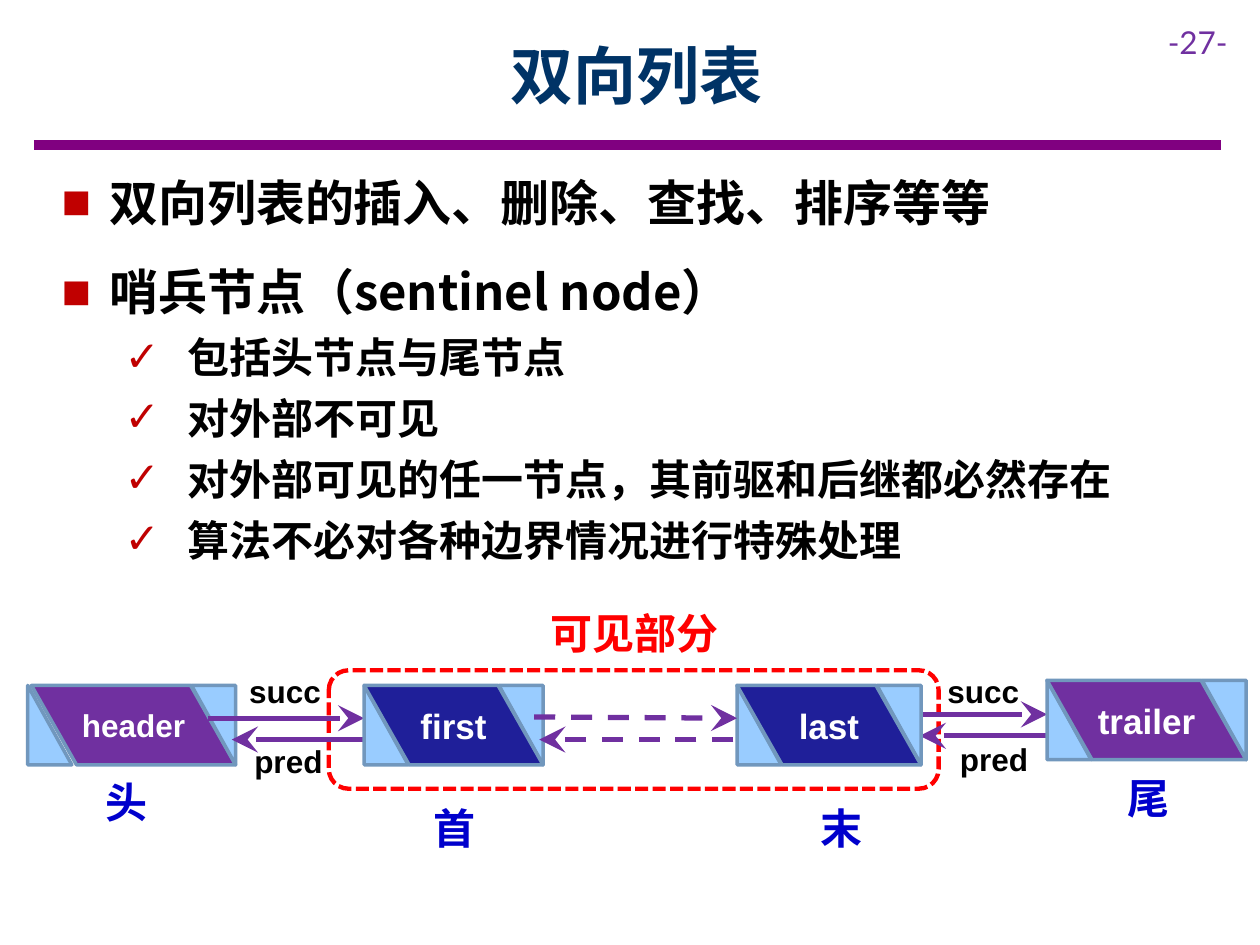
"""Build a slide on doubly linked lists and their sentinel nodes."""
from dataclasses import dataclass

from lxml.etree import SubElement
from pptx import Presentation
from pptx.dml.color import RGBColor
from pptx.enum.dml import MSO_LINE
from pptx.enum.shapes import MSO_CONNECTOR, MSO_SHAPE
from pptx.enum.text import MSO_ANCHOR, PP_ALIGN
from pptx.oxml.ns import qn
from pptx.util import Inches, Pt

COLORS = {
    "title": "003366", "rule": "800080", "purple": "7030A0", "navy": "1F1F99",
    "sky": "99CCFF", "edge": "7197BD", "red": "FF0000", "bullet": "C00000",
    "blue": "0000CC", "black": "000000", "white": "FFFFFF",
}
CJK, LATIN, NUMBER = "Noto Sans CJK SC", "Arial", "Lato"
NODE_H, WEDGE_W = 0.63, 0.35


@dataclass
class Label:
    text: str
    x: float
    y: float
    w: float
    h: float
    size: int
    color: str
    font: str = CJK
    bold: bool = True
    align: PP_ALIGN = PP_ALIGN.LEFT


@dataclass
class Node:
    text: str
    x: float
    y: float
    w: float
    color: str
    size: int = 20
    inset: float = 0
    wedges_on_top: bool = False


@dataclass
class Arrow:
    x1: float
    y1: float
    x2: float
    y2: float
    dashed: bool = False


@dataclass
class Bullet:
    text: str
    mark: str = "✓"
    level: int = 1
    size: int = 24
    margin: float = 1
    hang: float = 0.5


LABELS = [
    Label("-27-", 9.17, 0.13, 0.83, 0.4, 18, "purple", NUMBER, False),
    Label("双向列表", 0.9, 0.09, 8.31, 1, 36, "title", align=PP_ALIGN.CENTER),
    Label("可见部分", 4.27, 4.77, 1.57, 0.5, 24, "red"),
    *(Label(text, x, y, 0.83, 0.4, 18, "black", LATIN) for text, x, y in [
        ("succ", 1.88, 5.28), ("pred", 1.92, 5.84),
        ("succ", 7.42, 5.28), ("pred", 7.52, 5.82)]),
    *(Label(text, x, y, 0.65, 0.5, 24, "blue") for text, x, y in [
        ("头", 0.74, 6.11), ("首", 3.34, 6.32),
        ("末", 6.41, 6.32), ("尾", 8.85, 6.08)]),
]
HEADER = Node("header", 0.22, 5.44, 1.65, "purple", 18, 0.03, True)
NODES = [
    Node("first", 2.89, 5.44, 1.42, "navy"),
    Node("last", 5.85, 5.44, 1.46, "navy"),
    Node("trailer", 8.31, 5.4, 1.58, "purple"),
]
END_ARROWS = [
    Arrow(1.65, 5.7, 2.89, 5.7), Arrow(3, 5.87, 1.84, 5.87),
    Arrow(7.07, 5.67, 8.31, 5.67), Arrow(8.47, 5.84, 7.3, 5.84),
]
MIDDLE_ARROWS = [
    Arrow(4.24, 5.69, 5.85, 5.7, True), Arrow(5.82, 5.87, 4.28, 5.87, True),
]
OPERATIONS = [Bullet("双向列表的插入、删除、查找、排序等等", "■", 0, 28, 0.38, 0.38)]
SENTINELS = [
    Bullet("哨兵节点（sentinel node）", "■", 0, 28, 0.38, 0.38),
    Bullet("包括头节点与尾节点"),
    Bullet("对外部不可见"),
    Bullet("对外部可见的任一节点，其前驱和后继都必然存在"),
    Bullet("算法不必对各种边界情况进行特殊处理"),
]


def rgb(name: str) -> RGBColor:
    """Return the named colour."""
    return RGBColor.from_string(COLORS[name])


def box(x: float, y: float, w: float, h: float) -> tuple:
    """Return a position and size as lengths."""
    return Inches(x), Inches(y), Inches(w), Inches(h)


def set_font(p, size: int, color: str, name: str, bold: bool = True) -> None:
    """Set the font of a whole paragraph, East Asian text included."""
    f = p.font
    f.size, f.bold, f.name = Pt(size), bold, name
    f.color.rgb = rgb(color)
    props = p._p.pPr.find(qn("a:defRPr"))
    SubElement(props, qn("a:ea")).set("typeface", name)


def add_label(s, label: Label) -> None:
    """Add a single-line text box."""
    sp = s.shapes.add_textbox(*box(label.x, label.y, label.w, label.h))
    tf = sp.text_frame
    tf.word_wrap = True
    tf.vertical_anchor = MSO_ANCHOR.MIDDLE
    p = tf.paragraphs[0]
    p.text, p.alignment = label.text, label.align
    set_font(p, label.size, label.color, label.font, label.bold)


def add_bullets(s, bullets: list[Bullet], y: float, h: float) -> None:
    """Add a text box of bulleted paragraphs."""
    tf = s.shapes.add_textbox(*box(0.39, y, 9.34, h)).text_frame
    tf.word_wrap = True
    for i, bullet in enumerate(bullets):
        p = tf.add_paragraph() if i else tf.paragraphs[0]
        p.text, p.level, p.space_after = bullet.text, bullet.level, Pt(6)
        props = p._p.get_or_add_pPr()
        props.set("marL", str(Inches(bullet.margin)))
        props.set("indent", str(-Inches(bullet.hang)))
        color = SubElement(props, qn("a:buClr"))
        SubElement(color, qn("a:srgbClr")).set("val", COLORS["bullet"])
        SubElement(props, qn("a:buFont")).set("typeface", LATIN)
        SubElement(props, qn("a:buChar")).set("char", bullet.mark)
        set_font(p, bullet.size, "black", CJK)


def add_shape(s, kind: MSO_SHAPE, at: tuple, fill: str, line: str, width: float):
    """Add a filled and outlined preset shape."""
    sp = s.shapes.add_shape(kind, *at)
    sp.shadow.inherit = False
    sp.fill.solid()
    sp.fill.fore_color.rgb = rgb(fill)
    sp.line.color.rgb = rgb(line)
    sp.line.width = Pt(width)
    return sp


def add_wedges(s, node: Node) -> None:
    """Add the two corner triangles of a node."""
    for x, angle in [(node.x, 0), (node.x + node.w - WEDGE_W, 180)]:
        at = box(x, node.y, WEDGE_W, NODE_H)
        add_shape(s, MSO_SHAPE.RIGHT_TRIANGLE, at, "sky", "edge", 2).rotation = angle


def add_body(s, node: Node) -> None:
    """Add the slanted, labelled middle of a node."""
    at = box(node.x + node.inset, node.y, node.w - node.inset, NODE_H)
    sp = add_shape(s, MSO_SHAPE.PARALLELOGRAM, at, node.color, "edge", 2)
    sp.adjustments[0] = 0.567
    sp._element.spPr.xfrm.set("flipH", "1")
    tf = sp.text_frame
    tf.word_wrap = False
    tf.vertical_anchor = MSO_ANCHOR.MIDDLE
    p = tf.paragraphs[0]
    p.text, p.alignment = node.text, PP_ALIGN.CENTER
    set_font(p, node.size, "white", LATIN)


def add_node(s, node: Node) -> None:
    """Add a list node in its stacking order."""
    parts = [add_body, add_wedges] if node.wedges_on_top else [add_wedges, add_body]
    for add_part in parts:
        add_part(s, node)


def add_line(s, a: Arrow, color: str, width: float):
    """Add a straight line without a shadow."""
    ends = map(Inches, (a.x1, a.y1, a.x2, a.y2))
    sp = s.shapes.add_connector(MSO_CONNECTOR.STRAIGHT, *ends)
    sp.line.color.rgb = rgb(color)
    sp.line.width = Pt(width)
    SubElement(sp._element.spPr, qn("a:effectLst"))
    return sp


def add_arrow(s, arrow: Arrow) -> None:
    """Add a link between two nodes."""
    sp = add_line(s, arrow, "purple", 3)
    if arrow.dashed:
        sp.line.dash_style = MSO_LINE.DASH
    head = SubElement(sp.line._get_or_add_ln(), qn("a:tailEnd"))
    for key, value in {"type": "stealth", "w": "lg", "len": "lg"}.items():
        head.set(key, value)


def main() -> None:
    """Build and save the slide."""
    prs = Presentation()
    prs.slide_width, prs.slide_height = Inches(10), Inches(7.5)
    s = prs.slides.add_slide(prs.slide_layouts[6])
    add_line(s, Arrow(0.27, 1.15, 9.69, 1.15), "rule", 6)
    visible = add_shape(s, MSO_SHAPE.ROUNDED_RECTANGLE, box(2.61, 5.32, 4.84, 0.94),
                        "white", "red", 2.5)
    visible.line.dash_style = MSO_LINE.SQUARE_DOT
    add_node(s, HEADER)
    for arrow in END_ARROWS:
        add_arrow(s, arrow)
    for node in NODES:
        add_node(s, node)
    for arrow in MIDDLE_ARROWS:
        add_arrow(s, arrow)
    for label in LABELS:
        add_label(s, label)
    add_bullets(s, OPERATIONS, 1.32, 0.57)
    add_bullets(s, SENTINELS, 2.03, 2.52)
    prs.save("out.pptx")


if __name__ == "__main__":
    main()
